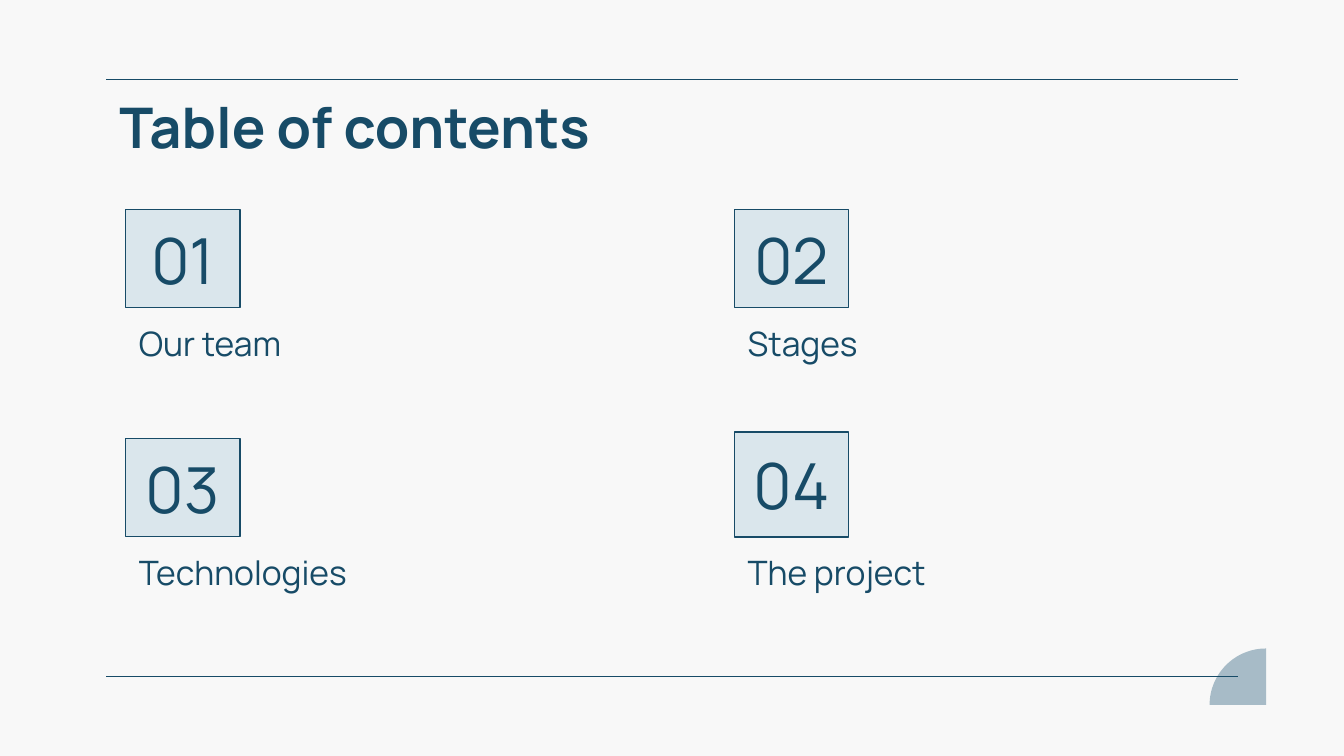
from dataclasses import dataclass
from math import cos, pi, sin

from lxml import etree
from pptx import Presentation
from pptx.dml.color import RGBColor
from pptx.enum.shapes import MSO_CONNECTOR, MSO_SHAPE
from pptx.enum.text import MSO_ANCHOR, PP_ALIGN
from pptx.oxml.ns import qn
from pptx.util import Emu, Pt

RECTANGLE = MSO_SHAPE.RECTANGLE
STRAIGHT = MSO_CONNECTOR.STRAIGHT
TOP, MIDDLE, BOTTOM = MSO_ANCHOR.TOP, MSO_ANCHOR.MIDDLE, MSO_ANCHOR.BOTTOM
LEFT, CENTER = PP_ALIGN.LEFT, PP_ALIGN.CENTER

EMU_PER_PX = 4572
SLIDE_WIDTH, SLIDE_HEIGHT = 2000, 1125
FONT = "Manrope"
NAVY, PALE_BLUE, GREY_BLUE, BACKGROUND = "174B67", "DAE6EC", "A7BBC7", "F8F8F8"
LINE_WIDTH = Pt(0.75)
INSET = 20
LEFT_COLUMN, RIGHT_COLUMN = 187, 1093
BADGE_WIDTH = 170
LABEL_GAP, LABEL_WIDTH, LABEL_HEIGHT = 17, 720, 86
RULE_LEFT, RULE_RIGHT = 158, 1842
RULE_TOPS = (118, 1007)
ARC_STEPS = 32


@dataclass(frozen=True)
class Entry:
    """One numbered section of the contents."""

    number: str
    label: str
    left: int
    badge_top: int
    badge_height: int


ENTRIES = (
    Entry("01", "Our team", LEFT_COLUMN, 312, 146),
    Entry("02", "Stages", RIGHT_COLUMN, 312, 146),
    Entry("03", "Technologies", LEFT_COLUMN, 653, 146),
    Entry("04", "The project", RIGHT_COLUMN, 643, 156),
)


def px(length: float) -> Emu:
    """Convert pixels to EMU."""
    return Emu(round(length * EMU_PER_PX))


def color(value: str) -> RGBColor:
    """Convert a hex string to a colour."""
    return RGBColor.from_string(value)


def write_text(shape, text: str, size: int, anchor, alignment, bold: bool = False) -> None:
    """Fill a shape with one styled run."""
    frame = shape.text_frame
    frame.word_wrap = True
    frame.vertical_anchor = anchor
    frame.margin_left = frame.margin_right = px(INSET)
    frame.margin_top = frame.margin_bottom = px(INSET)
    paragraph = frame.paragraphs[0]
    paragraph.alignment = alignment
    run = paragraph.add_run()
    run.text = text
    run.font.name = FONT
    run.font.size = Pt(size)
    run.font.bold = bold
    run.font.color.rgb = color(NAVY)


def add_quarter_disc(slide, center_x: int, center_y: int, radius: int) -> None:
    """Draw the upper left quarter of a disc."""
    angles = [pi / 2 * (1 + step / ARC_STEPS) for step in range(ARC_STEPS + 1)]
    arc = [
        (px(center_x + radius * cos(angle)), px(center_y - radius * sin(angle)))
        for angle in angles
    ]
    builder = slide.shapes.build_freeform(px(center_x), px(center_y))
    builder.add_line_segments(arc, close=True)
    shape = builder.convert_to_shape()
    shape.shadow.inherit = False
    shape.fill.solid()
    shape.fill.fore_color.rgb = color(GREY_BLUE)
    shape.line.fill.background()


def add_rule(slide, top: int) -> None:
    """Draw a horizontal rule across the slide."""
    rule = slide.shapes.add_connector(
        STRAIGHT, px(RULE_LEFT), px(top), px(RULE_RIGHT), px(top)
    )
    rule.line.color.rgb = color(NAVY)
    rule.line.width = LINE_WIDTH
    etree.SubElement(rule._element.spPr, qn("a:effectLst"))


def add_entry(slide, entry: Entry) -> None:
    """Draw a number badge with its label underneath."""
    badge = slide.shapes.add_shape(
        RECTANGLE, px(entry.left), px(entry.badge_top), px(BADGE_WIDTH), px(entry.badge_height)
    )
    badge.shadow.inherit = False
    badge.fill.solid()
    badge.fill.fore_color.rgb = color(PALE_BLUE)
    badge.line.color.rgb = color(NAVY)
    badge.line.width = LINE_WIDTH
    write_text(badge, entry.number, 34, MIDDLE, CENTER)
    label_top = entry.badge_top + entry.badge_height + LABEL_GAP
    label = slide.shapes.add_textbox(
        px(entry.left), px(label_top), px(LABEL_WIDTH), px(LABEL_HEIGHT)
    )
    write_text(label, entry.label, 18, BOTTOM, LEFT)


def main() -> None:
    """Build the table of contents slide."""
    presentation = Presentation()
    presentation.slide_width = px(SLIDE_WIDTH)
    presentation.slide_height = px(SLIDE_HEIGHT)
    slide = presentation.slides.add_slide(presentation.slide_layouts[6])
    slide.background.fill.solid()
    slide.background.fill.fore_color.rgb = color(BACKGROUND)
    add_quarter_disc(slide, 1884, 1049, 84)
    for top in RULE_TOPS:
        add_rule(slide, top)
    title = slide.shapes.add_textbox(px(158), px(118), px(1686), px(114))
    write_text(title, "Table of contents", 30, TOP, LEFT, bold=True)
    for entry in ENTRIES:
        add_entry(slide, entry)
    presentation.save("out.pptx")


if __name__ == "__main__":
    main()
